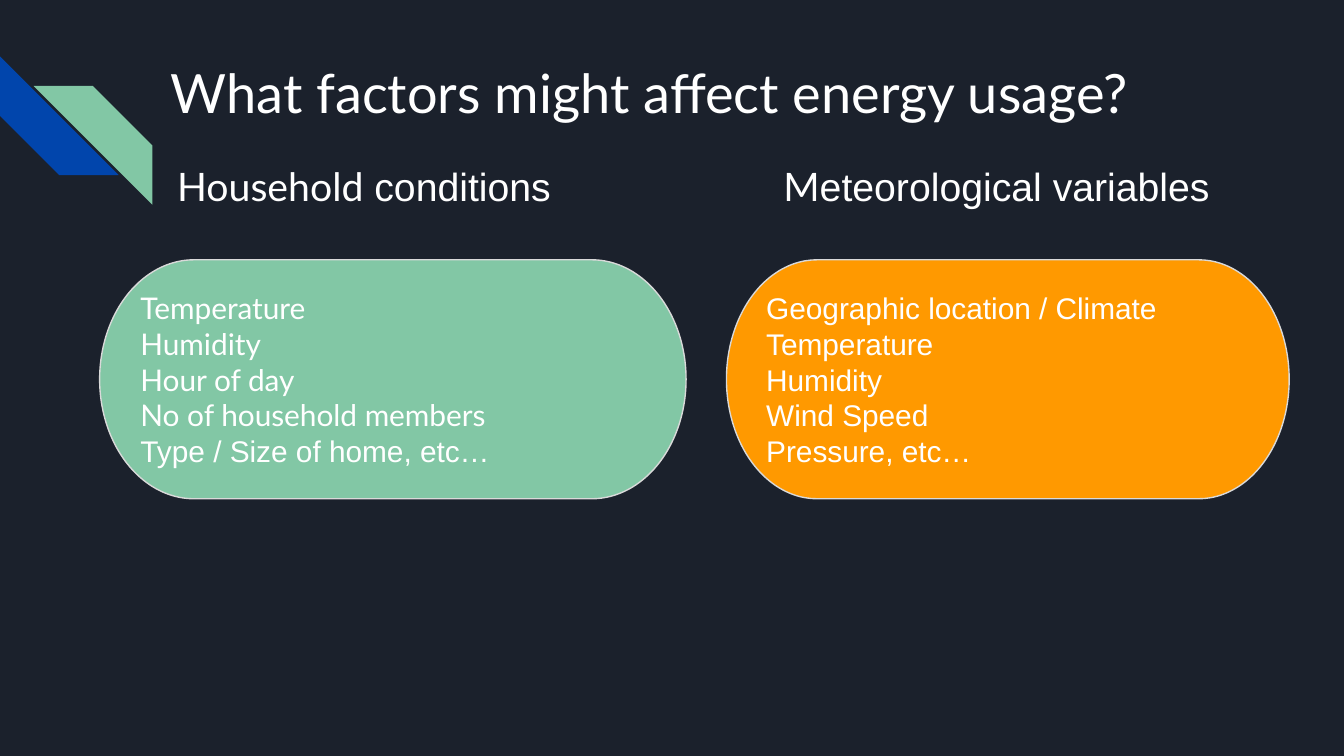
"""Build the slide on factors that might affect energy usage."""
from pptx import Presentation
from pptx.dml.color import RGBColor
from pptx.enum.shapes import MSO_SHAPE
from pptx.enum.text import MSO_ANCHOR, PP_ALIGN
from pptx.util import Pt

STRIPE = MSO_SHAPE.DIAGONAL_STRIPE
TERMINATOR = MSO_SHAPE.FLOWCHART_TERMINATOR
TOP, MIDDLE = MSO_ANCHOR.TOP, MSO_ANCHOR.MIDDLE
LEFT, JUSTIFY = PP_ALIGN.LEFT, PP_ALIGN.JUSTIFY

COLORS = {"background": "1B212C", "blue": "0145AC", "green": "82C7A5",
          "orange": "FF9900", "outline": "D9D9D9", "text": "FFFFFF"}

TITLE = [("What factors might affect energy usage?", "Lato")]
STRIPES = [(0, 30.24, 270, "blue"), (18, 46.08, 90, "green")]
STRIPE_SIZE = 63.6
GROUPS = [
    {"heading": [("Household", "Lato"), (" conditions", "Arial")],
     "heading_span": (87.84, 244.8), "panel_span": (53.4, 314.2),
     "color": "green", "align": LEFT,
     "factors": [[("Temperature", "Lato")], [("Humidity", "Lato")],
                 [("Hour of day", "Lato")],
                 [("No of household members", "Lato")],
                 [("Type / Size of home, etc…", "Arial")]]},
    {"heading": [("M", "Lato"), ("eteorological variables", "Arial")],
     "heading_span": (412.56, 253.44), "panel_span": (389.2, 301.5),
     "color": "orange", "align": JUSTIFY,
     "factors": [[(factor, "Arial")] for factor in (
         "Geographic location / Climate", "Temperature", "Humidity",
         "Wind Speed", "Pressure, etc…")]},
]
HEADING_TOP, HEADING_HEIGHT = 79.92, 40.32
PANEL_TOP, PANEL_HEIGHT = 139.2, 128


def rgb(name):
    return RGBColor.from_string(COLORS[name])


def write(frame, lines, size, align=LEFT, anchor=TOP):
    frame.word_wrap = True
    frame.vertical_anchor = anchor
    frame.margin_left = frame.margin_right = Pt(7.2)
    frame.margin_top = frame.margin_bottom = Pt(7.2)
    for index, line in enumerate(lines):
        paragraph = frame.add_paragraph() if index else frame.paragraphs[0]
        paragraph.alignment = align
        for text, font in line:
            run = paragraph.add_run()
            run.text = text
            run.font.name = font
            run.font.size = Pt(size)
            run.font.color.rgb = rgb("text")


def add_filled(slide, kind, left, top, width, height, color):
    shape = slide.shapes.add_shape(kind, Pt(left), Pt(top), Pt(width), Pt(height))
    shape.shadow.inherit = False
    shape.fill.solid()
    shape.fill.fore_color.rgb = rgb(color)
    shape.line.fill.background()
    return shape


def add_label(slide, line, left, top, width, height, size):
    label = slide.shapes.add_textbox(Pt(left), Pt(top), Pt(width), Pt(height))
    write(label.text_frame, [line], size)


def main():
    deck = Presentation()
    deck.slide_width, deck.slide_height = Pt(720), Pt(405)
    slide = deck.slides.add_slide(deck.slide_layouts[6])
    slide.background.fill.solid()
    slide.background.fill.fore_color.rgb = rgb("background")

    for left, top, rotation, color in STRIPES:
        stripe = add_filled(slide, STRIPE, left, top, STRIPE_SIZE, STRIPE_SIZE, color)
        stripe.adjustments[0] = 0.5
        stripe.rotation = rotation

    add_label(slide, TITLE, 84.24, 24.48, 534.24, 49.68, size=29)

    for group in GROUPS:
        left, width = group["heading_span"]
        add_label(slide, group["heading"], left, HEADING_TOP, width,
                  HEADING_HEIGHT, size=21)

    for group in GROUPS:
        left, width = group["panel_span"]
        panel = add_filled(slide, TERMINATOR, left, PANEL_TOP, width,
                           PANEL_HEIGHT, group["color"])
        panel.line.color.rgb = rgb("outline")
        panel.line.width = Pt(0.75)
        write(panel.text_frame, group["factors"], size=16,
              align=group["align"], anchor=MIDDLE)

    deck.save("out.pptx")


if __name__ == "__main__":
    main()
